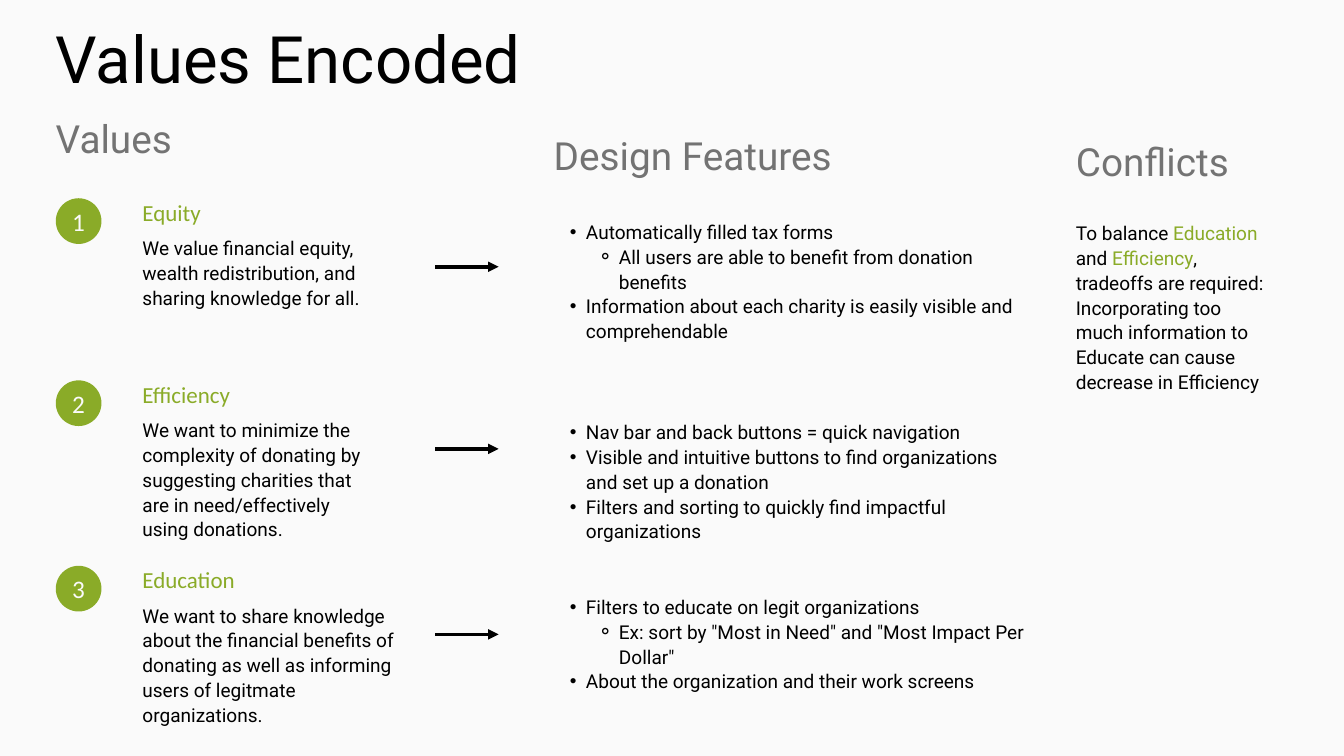
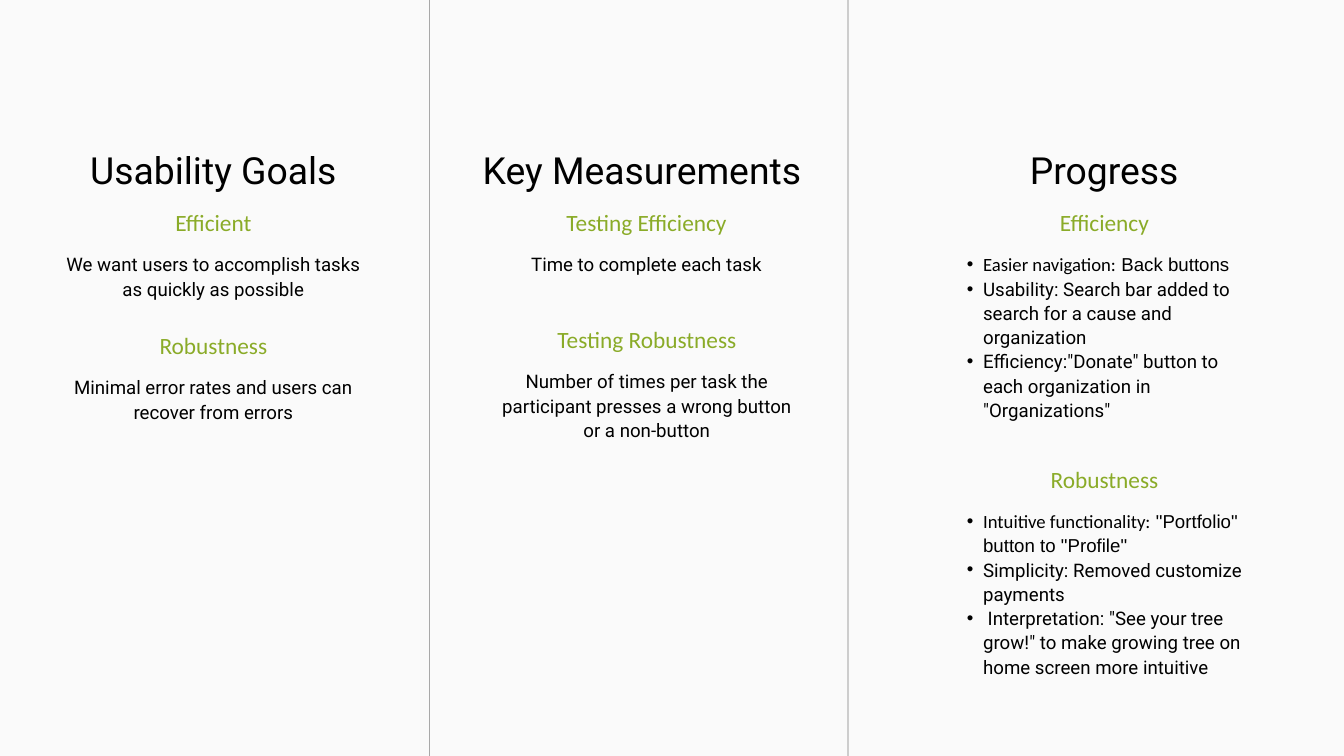
from dataclasses import dataclass, replace

from lxml import etree
from pptx import Presentation
from pptx import util as u
from pptx.dml.color import RGBColor
from pptx.enum import shapes, text
from pptx.oxml import ns

COLUMNS, ROWS = 20, 11.25
CELL = u.Inches(1)
COLOURS = {"paper": "FAFAFA", "ink": "000000", "leaf": "8AAB28", "stone": "737373"}
BULLETS = {1: ("•", 0.48, -0.24), 2: ("⚬", 0.97, -0.32)}
LEFT, CENTRE = text.PP_ALIGN.LEFT, text.PP_ALIGN.CENTER


@dataclass(frozen=True)
class Style:
    """Look of a paragraph: sizes and leading in points."""
    font: str
    size: float
    colour: str
    leading: float
    align: text.PP_ALIGN = LEFT


@dataclass(frozen=True)
class Run:
    """Words that may differ from the paragraph's font or colour."""
    words: str
    font: str | None = None
    colour: str | None = None


@dataclass(frozen=True)
class Line:
    """A paragraph of runs; level 0 has no bullet."""
    runs: tuple[Run, ...]
    level: int = 0


@dataclass(frozen=True)
class Area:
    """A block of the slide grid, in columns and rows."""
    left: float
    top: float
    width: float
    height: float


@dataclass(frozen=True)
class Value:
    """A value with its explanation and the design features serving it."""
    name: str
    top: float
    width: float
    meaning: str
    features_top: float
    features_height: float
    features: tuple[Line, ...]


@dataclass(frozen=True)
class Topic:
    """A subheading with its text in a usability column."""
    name: str
    area: Area
    lines: tuple[Line, ...]


@dataclass(frozen=True)
class Column:
    """One usability column with its headline."""
    headline: str
    left: float
    width: float
    topics: tuple[Topic, ...]


TITLE = Style("Roboto", 70, "ink", 84)
SECTION = Style("Roboto", 41.5, "stone", 49.9)
VALUE_NAME = Style("Calibri", 24.6, "leaf", 29.5)
VALUE_BODY = Style("Roboto", 20.4, "ink", 26.6)
NUMBER = Style("Calibri", 27, "paper", 32.4, CENTRE)
HEADLINE = Style("Roboto", 40, "ink", 48, CENTRE)
TOPIC_NAME = Style("Calibri", 25, "leaf", 30, CENTRE)
TOPIC_BODY = Style("Roboto", 20, "ink", 26, CENTRE)


def line(words: str, level: int = 0) -> Line:
    """Return a paragraph of one plain run."""
    return Line((Run(words),), level)


def labelled(label: str, words: str) -> Line:
    """Return a bullet whose label and words have their own fonts."""
    return Line((Run(label, font="Calibri"), Run(words, font="Arial")), 1)


VALUES = (
    Value("Equity", 2.95, 3.8,
          "We value financial equity, wealth redistribution, and sharing knowledge for all.",
          3.25, 1.81, (
              line("Automatically filled tax forms", 1),
              line("All users are able to benefit from donation benefits", 2),
              line("Information about each charity is easily visible and comprehendable", 1))),
    Value("Efficiency", 5.66, 3.54,
          "We want to minimize the complexity of donating by suggesting charities that "
          "are in need/effectively using donations.",
          6.23, 1.81, (
              line("Nav bar and back buttons = quick navigation", 1),
              line("Visible and intuitive buttons to find organizations and set up a donation", 1),
              line("Filters and sorting to quickly find impactful organizations", 1))),
    Value("Education", 8.42, 3.8,
          "We want to share knowledge about the financial benefits of donating as well as "
          "informing users of legitmate organizations.",
          8.83, 1.45, (
              line("Filters to educate on legit organizations", 1),
              line('Ex: sort by "Most in Need" and "Most Impact Per Dollar"', 2),
              line("About the organization and their work screens", 1))),
)
SECTIONS = (("Values", 0.83, 1.7), ("Design Features", 8.24, 1.96), ("Conflicts", 16.01, 2.05))
CONFLICT = (
    Line((Run("To balance "), Run("Education", colour="leaf"), Run(" and "),
          Run("Efficiency", colour="leaf"), Run(", tradeoffs are required:"))),
    line("Incorporating too much information to Educate can cause decrease in Efficiency"),
)
USABILITY = (
    Column("Usability Goals", 0.89, 4.57, (
        Topic("Efficient", Area(0.89, 3.1, 4.57, 1.41),
              (line("We want users to accomplish tasks as quickly as possible"),)),
        Topic("Robustness", Area(0.89, 4.93, 4.57, 1.41),
              (line("Minimal error rates and users can recover from errors"),)))),
    Column("Key Measurements ", 6.96, 5.32, (
        Topic("Testing Efficiency", Area(6.96, 3.1, 5.32, 0.7),
              (line("Time to complete each task"),)),
        Topic("Testing Robustness", Area(7.34, 4.84, 4.57, 1.77),
              (line("Number of times per task the participant presses a wrong button "
                    "or a non-button"),)))),
    Column("Progress", 13.99, 4.88, (
        Topic("Efficiency", Area(14.15, 3.1, 4.57, 2.83), (
            labelled("Easier navigation:", " Back buttons"),
            line("Usability: Search bar added to search for a cause and organization", 1),
            line('Efficiency:"Donate" button to each organization in "Organizations"', 1))),
        Topic("Robustness", Area(14.15, 6.92, 4.57, 2.47), (
            labelled("Intuitive functionality:", ' "Portfolio" button to "Profile"'),
            line("Simplicity: Removed customize payments", 1),
            line(' Interpretation: "See your tree grow!" to make growing tree on home '
                 "screen more intuitive", 1))))),
)
DIVIDERS = (6.39, 12.62)


def rgb(name: str) -> RGBColor:
    """Return a colour of the palette."""
    return RGBColor.from_string(COLOURS[name])


def cells(*counts: float) -> list[int]:
    """Turn counts of grid cells into lengths."""
    return [int(count * CELL) for count in counts]


def add_bullet(paragraph, level: int) -> None:
    """Give a paragraph the bullet and indent of its level."""
    mark, margin, indent = BULLETS[level]
    paragraph.level = level
    properties = paragraph._p.get_or_add_pPr()
    properties.set("marL", str(cells(margin)[0]))
    properties.set("indent", str(cells(indent)[0]))
    etree.SubElement(properties, ns.qn("a:buFont")).set("typeface", "Arial")
    etree.SubElement(properties, ns.qn("a:buChar")).set("char", mark)


def write(frame, lines: tuple[Line, ...], style: Style) -> None:
    """Fill a text frame without insets, run by run."""
    frame.word_wrap = True
    frame.margin_left = frame.margin_right = frame.margin_top = frame.margin_bottom = 0
    for index, entry in enumerate(lines):
        paragraph = frame.add_paragraph() if index else frame.paragraphs[0]
        if entry.level:
            add_bullet(paragraph, entry.level)
        paragraph.alignment = LEFT if entry.level else style.align
        paragraph.line_spacing = u.Pt(style.leading)
        for part in entry.runs:
            run = paragraph.add_run()
            run.text = part.words
            run.font.name = part.font or style.font
            run.font.size = u.Pt(style.size)
            run.font.color.rgb = rgb(part.colour or style.colour)


def add_text(slide, area: Area, lines: tuple[Line, ...], style: Style, holder=None) -> None:
    """Place text in an area, in the given placeholder or a new box."""
    box = holder or slide.shapes.add_textbox(0, 0, 0, 0)
    box.left, box.top, box.width, box.height = cells(area.left, area.top, area.width, area.height)
    box.text_frame.vertical_anchor = text.MSO_ANCHOR.TOP
    box.text_frame.auto_size = text.MSO_AUTO_SIZE.SHAPE_TO_FIT_TEXT
    write(box.text_frame, lines, style)


def add_rule(slide, start: tuple[float, float], end: tuple[float, float], weight: float):
    """Draw a straight line without shadow and return it."""
    rule = slide.shapes.add_connector(shapes.MSO_CONNECTOR.STRAIGHT, *cells(*start, *end))
    rule.line.color.rgb = rgb("ink")
    rule.line.width = u.Pt(weight)
    etree.SubElement(rule._element.spPr, ns.qn("a:effectLst"))
    return rule


def add_arrow(slide, row: float) -> None:
    """Draw the arrow from a value to its features."""
    arrow = add_rule(slide, (6.48, row), (7.42, row), 3.75)
    etree.SubElement(arrow.line._get_or_add_ln(), ns.qn("a:tailEnd")).set("type", "triangle")


def add_divider(slide, column: float) -> None:
    """Draw a half-transparent line down the slide."""
    divider = add_rule(slide, (column, 0), (column, ROWS), 0.75)
    colour = divider.line._get_or_add_ln().find(".//" + ns.qn("a:srgbClr"))
    etree.SubElement(colour, ns.qn("a:alpha")).set("val", "50000")


def add_badge(slide, number: int, top: float) -> None:
    """Draw a numbered disc."""
    disc = slide.shapes.add_shape(shapes.MSO_SHAPE.OVAL, *cells(0.83, top, 0.68, 0.68))
    disc.shadow.inherit = False
    disc.fill.solid()
    disc.fill.fore_color.rgb = rgb("leaf")
    disc.line.fill.background()
    disc.text_frame.vertical_anchor = text.MSO_ANCHOR.MIDDLE
    write(disc.text_frame, (line(str(number)),), NUMBER)


def add_value(slide, number: int, value: Value) -> None:
    """Draw a value's row: badge, meaning, arrow and features."""
    add_badge(slide, number, value.top)
    name = Area(2.12, value.top, value.width, 0.41)
    add_text(slide, name, (line(value.name),), VALUE_NAME)
    meaning = replace(name, top=value.top + 0.54, height=1.82)
    add_text(slide, meaning, (line(value.meaning),), VALUE_BODY)
    add_arrow(slide, value.top + 1.02)
    features = Area(8.24, value.features_top, 7, value.features_height)
    add_text(slide, features, value.features, VALUE_BODY)


def add_column(slide, column: Column, holder=None) -> None:
    """Draw a usability column."""
    headline = Area(column.left, 2.19, column.width, 0.66)
    add_text(slide, headline, (line(column.headline),), HEADLINE, holder)
    for topic in column.topics:
        add_text(slide, replace(topic.area, height=0.41), (line(topic.name),), TOPIC_NAME)
        body = replace(topic.area, top=topic.area.top + 0.64)
        add_text(slide, body, topic.lines, TOPIC_BODY)


def build_values(slide) -> None:
    """Build the slide on encoded values."""
    add_text(slide, Area(0.83, 0.27, 9.66, 1.17), (line("Values Encoded"),), TITLE,
             slide.shapes.title)
    for name, left, top in SECTIONS:
        add_text(slide, Area(left, top, 5.73, 0.69), (line(name),), SECTION)
    for number, value in enumerate(VALUES, 1):
        add_value(slide, number, value)
    add_text(slide, Area(16.01, 3.27, 2.94, 2.9), CONFLICT, VALUE_BODY)


def build_usability(slide) -> None:
    """Build the slide on usability; its first headline is the title."""
    for divider in DIVIDERS:
        add_divider(slide, divider)
    for index, column in enumerate(USABILITY):
        add_column(slide, column, None if index else slide.shapes.title)


def main() -> None:
    """Build and save the presentation."""
    deck = Presentation()
    deck.slide_width, deck.slide_height = cells(COLUMNS, ROWS)
    backdrop = deck.slide_master.background.fill
    backdrop.solid()
    backdrop.fore_color.rgb = rgb("paper")
    title_only = deck.slide_layouts.get_by_name("Title Only")
    for build in (build_values, build_usability):
        build(deck.slides.add_slide(title_only))
    deck.save("out.pptx")


if __name__ == "__main__":
    main()
